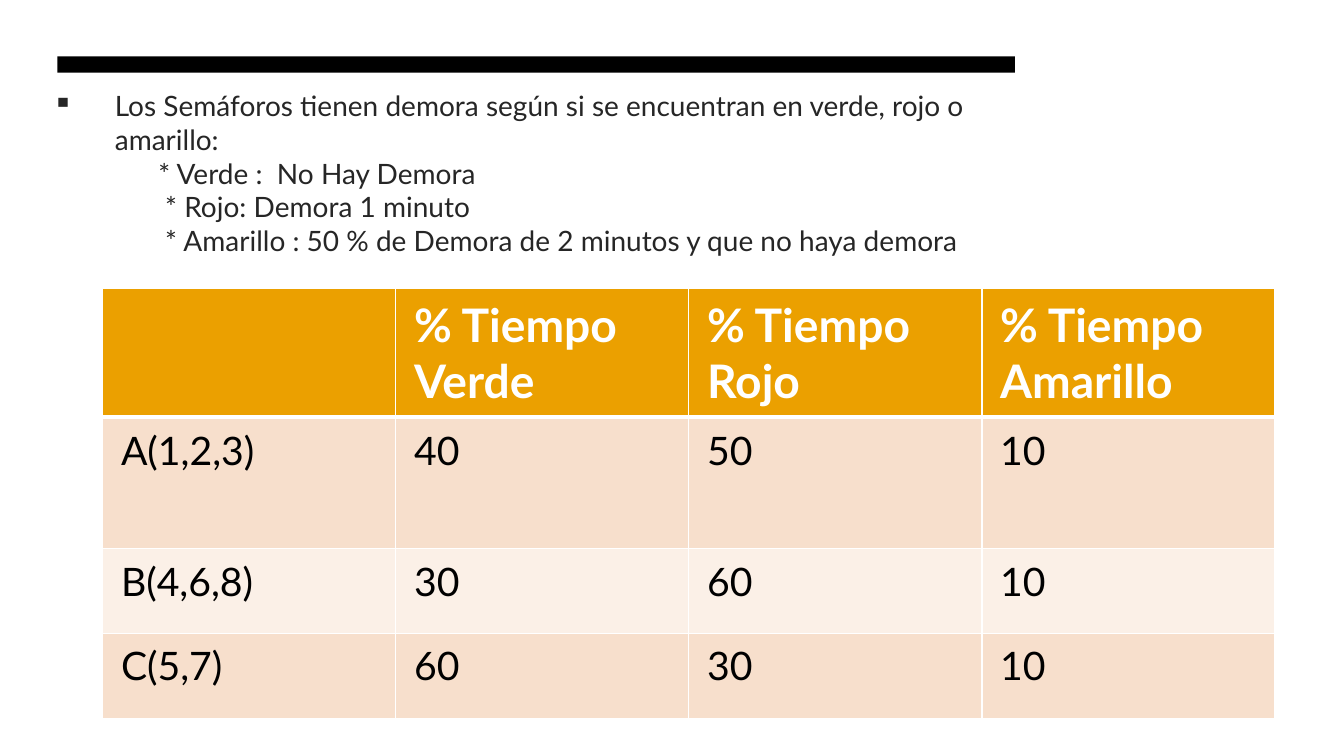
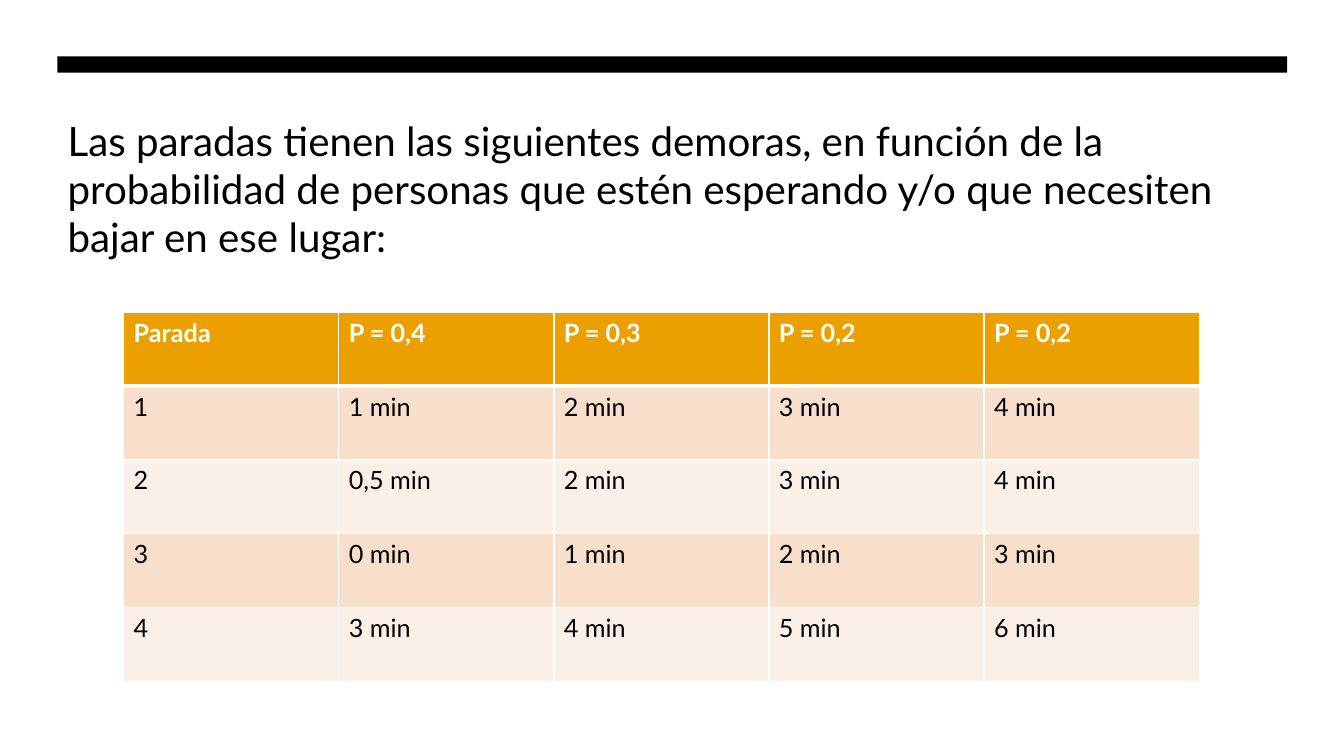
from lxml.etree import SubElement
from pptx import Presentation
from pptx.dml.color import RGBColor
from pptx.enum.shapes import MSO_SHAPE as Preset
from pptx.enum.text import MSO_ANCHOR as Anchor, MSO_AUTO_SIZE as AutoSize, PP_ALIGN as Align
from pptx.oxml.ns import qn
from pptx.util import Cm, Pt

FONT = "Lato"
BLACK, WHITE, DARK_GREY = "000000", "FFFFFF", "262626"
HEADER_FILL = "EBA000"
BAND_FILLS = ("F7DFCC", "FBF0E7")
TITLE_ONLY = 5

# Lengths are in centimetres, text sizes in points.
# A title paragraph is (text, left margin, first-line indent, bullet).
SLIDES = [
    {
        "bar_width": 24.13,
        "title": {
            "box": (1.07, 2.11, 24.89, 5.92),
            "size": 20,
            "color": DARK_GREY,
            "anchor": Anchor.TOP,
            "paragraphs": [
                ("Los Semáforos tienen demora según si se encuentran en verde, rojo o amarillo:",
                 1.57, -1.57, "▪"),
                ("* Verde :  No Hay Demora", 2.67, 0, None),
                ("* Rojo: Demora 1 minuto", 2.84, 0, None),
                ("* Amarillo : 50 % de Demora de 2 minutos y que no haya demora", 2.84, 0, None),
            ],
        },
        "table": {
            "origin": (2.59, 7.26),
            "width": 29.54,
            "row_heights": (3.23, 3.3, 2.14, 2.14),
            "insets": (0.46, 0.23),
            "sizes": (33, 28),
            "rows": [
                ("", "% Tiempo\nVerde", "% Tiempo\nRojo", "% Tiempo\nAmarillo"),
                ("A(1,2,3)", "40", "50", "10"),
                ("B(4,6,8)", "30", "60", "10"),
                ("C(5,7)", "60", "30", "10"),
            ],
        },
    },
    {
        "bar_width": 30.99,
        "title": {
            "box": (1.45, 2.72, 30.99, 4.06),
            "size": 28.8,
            "color": BLACK,
            "anchor": Anchor.MIDDLE,
            "paragraphs": [
                ("Las paradas tienen las siguientes demoras, en función de la probabilidad de "
                 "personas que estén esperando y/o que necesiten bajar en ese lugar:", 0, 0, None),
            ],
        },
        "table": {
            "origin": (3.12, 7.87),
            "width": 27.1,
            "row_heights": (1.86,) * 5,
            "insets": (0.25, 0.13),
            "sizes": (18, 18),
            "rows": [
                ("Parada", "P = 0,4", "P = 0,3", "P = 0,2", "P = 0,2"),
                ("1", "1 min", "2 min", "3 min", "4 min"),
                ("2", "0,5 min", "2 min", "3 min", "4 min"),
                ("3", "0 min", "1 min", "2 min", "3 min"),
                ("4", "3 min", "4 min", "5 min", "6 min"),
            ],
        },
    },
]


def rgb(color):
    return RGBColor.from_string(color)


def add_run(paragraph, text, size, color, bold=False):
    run = paragraph.add_run()
    run.text = text
    run.font.name = FONT
    run.font.size = Pt(size)
    run.font.bold = bold
    run.font.color.rgb = rgb(color)


def paragraphs_for(frame, items):
    """Pair each item with a paragraph, reusing the frame's first one."""
    for index, item in enumerate(items):
        yield (frame.add_paragraph() if index else frame.paragraphs[0]), item


def add_bar(slide, width):
    bar = slide.shapes.add_shape(Preset.RECTANGLE, Cm(1.45), Cm(1.42), Cm(width), Cm(0.41))
    bar.shadow.inherit = False
    bar.fill.solid()
    bar.fill.fore_color.rgb = rgb(BLACK)
    bar.line.fill.background()


def fill_title(slide, title):
    shape = slide.shapes.title
    shape.left, shape.top, shape.width, shape.height = map(Cm, title["box"])
    frame = shape.text_frame
    frame.word_wrap = True
    frame.auto_size = AutoSize.NONE
    frame.vertical_anchor = title["anchor"]
    for paragraph, (text, margin, indent, bullet) in paragraphs_for(frame, title["paragraphs"]):
        paragraph.alignment = Align.LEFT
        paragraph.line_spacing = 1.0
        paragraph.space_before = Pt(0)
        add_run(paragraph, text, title["size"], title["color"])
        properties = paragraph._p.get_or_add_pPr()
        properties.set("marL", str(Cm(margin)))
        properties.set("indent", str(Cm(indent)))
        if bullet:
            SubElement(properties, qn("a:buChar"), char=bullet)


def set_borders(cell, **widths):
    """Draw white borders; widths are in points, keyed by side L, R, T, B."""
    properties = cell._tc.get_or_add_tcPr()
    for side, width in widths.items():
        line = SubElement(properties, qn(f"a:ln{side}"), w=str(Pt(width)))
        SubElement(SubElement(line, qn("a:solidFill")), qn("a:srgbClr"), val=WHITE)


def format_cell(cell, text, row_index, insets, sizes):
    is_header = row_index == 0
    set_borders(cell, L=1, R=1, T=3 if row_index == 1 else 1, B=3 if is_header else 1)
    cell.fill.solid()
    cell.fill.fore_color.rgb = rgb(HEADER_FILL if is_header else BAND_FILLS[(row_index - 1) % 2])
    cell.margin_left = cell.margin_right = Cm(insets[0])
    cell.margin_top = cell.margin_bottom = Cm(insets[1])
    if text:
        for paragraph, line in paragraphs_for(cell.text_frame, text.split("\n")):
            add_run(paragraph, line, sizes[0 if is_header else 1],
                    WHITE if is_header else BLACK, is_header)


def add_table(slide, data):
    rows, heights = data["rows"], data["row_heights"]
    column_count = len(rows[0])
    left, top = data["origin"]
    table = slide.shapes.add_table(len(rows), column_count, Cm(left), Cm(top),
                                   Cm(data["width"]), Cm(sum(heights))).table
    for column in table.columns:
        column.width = Cm(data["width"] / column_count)
    for row_index, (texts, height) in enumerate(zip(rows, heights)):
        table.rows[row_index].height = Cm(height)
        for column_index, text in enumerate(texts):
            format_cell(table.cell(row_index, column_index), text, row_index,
                        data["insets"], data["sizes"])


def main():
    presentation = Presentation()
    presentation.slide_width, presentation.slide_height = Cm(33.87), Cm(19.05)
    for content in SLIDES:
        slide = presentation.slides.add_slide(presentation.slide_layouts[TITLE_ONLY])
        add_bar(slide, content["bar_width"])
        fill_title(slide, content["title"])
        add_table(slide, content["table"])
    presentation.save("out.pptx")


if __name__ == "__main__":
    main()
